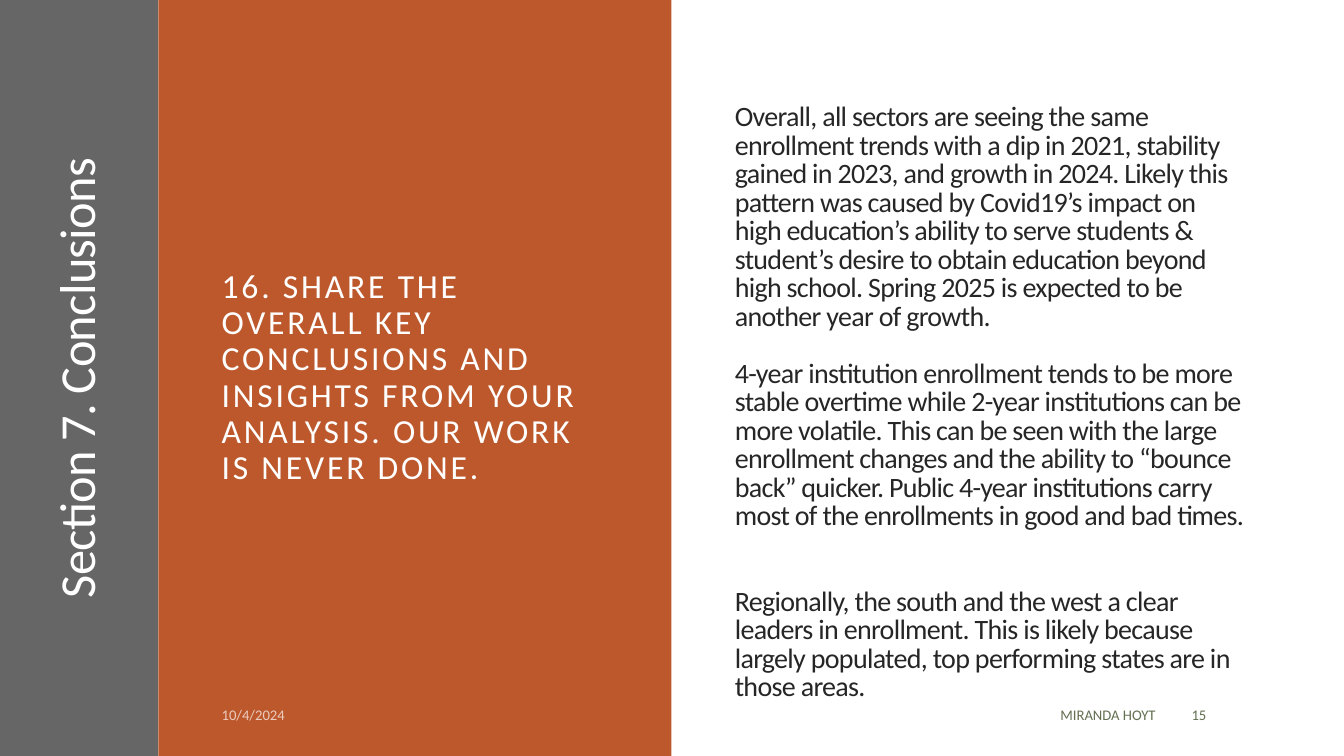
import pptx
import pptx.util
import pptx.dml.color
import pptx.enum.shapes
import pptx.enum.text
import pptx.oxml.ns
import lxml.etree

Inches = pptx.util.Inches
Pt = pptx.util.Pt
RGB = pptx.dml.color.RGBColor
ALIGN = pptx.enum.text.PP_ALIGN

WHITE = RGB(0xFF, 0xFF, 0xFF)
INK = RGB(0x26, 0x26, 0x26)
GRAY = RGB(0x40, 0x40, 0x40)
RUST = RGB(0xBD, 0x58, 0x2C)
OLIVE = RGB(0x63, 0x70, 0x52)

PANELS = [
    ((0, 0, 13.33, 7.5), WHITE, 100),
    ((0, 0, 1.57, 7.5), GRAY, 80),
    ((1.57, 0, 5.09, 7.5), RUST, 100),
]
FINDINGS = [
    "Overall, all sectors are seeing the same enrollment trends with a dip in 2021, "
    "stability gained in 2023, and growth in 2024. Likely this pattern was caused by "
    "Covid19’s impact on high education’s ability to serve students & student’s desire "
    "to obtain education beyond high school. Spring 2025 is expected to be another year "
    "of growth.",
    "4-year institution enrollment tends to be more stable overtime while 2-year "
    "institutions can be more volatile. This can be seen with the large enrollment "
    "changes and the ability to “bounce back” quicker. Public 4-year institutions carry "
    "most of the enrollments in good and bad times.",
    "Regionally, the south and the west a clear leaders in enrollment. This is likely "
    "because largely populated, top performing states are in those areas.",
]
GAPS = [0, 20, 40.5]
PROMPT = ("16. SHARE THE OVERALL KEY CONCLUSIONS AND INSIGHTS FROM YOUR ANALYSIS. "
          "OUR WORK IS NEVER DONE.")
SECTION = "Section 7. Conclusions"
FOOTER = [
    ("10/4/2024", (2.1, 6.91, 2.75, 0.35), WHITE, 70, ALIGN.LEFT),
    ("MIRANDA HOYT", (7.09, 6.91, 4.47, 0.35), OLIVE, 100, ALIGN.RIGHT),
    ("15", (11.72, 6.89, 0.69, 0.4), OLIVE, 100, ALIGN.LEFT),
]


def paint(fill, color, alpha=100):
    fill.solid()
    fill.fore_color.rgb = color
    if alpha < 100:
        tag = fill._xPr.find(".//" + pptx.oxml.ns.qn("a:srgbClr"))
        node = lxml.etree.SubElement(tag, pptx.oxml.ns.qn("a:alpha"))
        node.set("val", str(alpha * 1000))


def add_panel(slide, box, color, alpha):
    kind = pptx.enum.shapes.MSO_SHAPE.RECTANGLE
    panel = slide.shapes.add_shape(kind, *map(Inches, box))
    panel.shadow.inherit = False
    panel.line.fill.background()
    paint(panel.fill, color, alpha)


def add_text(slide, lines, box, size, color, alpha=100, align=ALIGN.LEFT,
             lead=1.0, track=0, gaps=(0,), after=0):
    shape = slide.shapes.add_textbox(*map(Inches, box))
    frame = shape.text_frame
    frame.word_wrap = True
    frame.vertical_anchor = pptx.enum.text.MSO_ANCHOR.MIDDLE
    frame.text = "\n".join(lines)
    for para, gap in zip(frame.paragraphs, gaps):
        para.alignment = align
        para.line_spacing = lead
        para.space_before = Pt(gap)
        para.space_after = Pt(after)
        for run in para.runs:
            run.font.name = "Calibri"
            run.font.size = Pt(size)
            paint(run.font.fill, color, alpha)
            run.font._element.set("spc", str(int(track * 100)))
    return shape


def main():
    deck = pptx.Presentation()
    deck.slide_width = Inches(13.33)
    deck.slide_height = Inches(7.5)
    slide = deck.slides.add_slide(deck.slide_layouts[6])
    paint(slide.background.fill, WHITE)

    for box, color, alpha in PANELS:
        add_panel(slide, box, color, alpha)
    add_text(slide, FINDINGS, (7.19, 1.08, 5.26, 5.84), 20, INK,
             lead=0.85, track=-0.5, gaps=GAPS)
    add_text(slide, [PROMPT], (2.1, 1.08, 4.05, 5.34), 24, WHITE,
             lead=0.9, track=2, gaps=(12,), after=2)
    for text, box, color, alpha, align in FOOTER:
        add_text(slide, [text], box, 10.5, color, alpha, align, after=6)
    title = add_text(slide, [SECTION], (-2.96, 2.81, 7.5, 1.88), 36, WHITE,
                     align=ALIGN.CENTER, lead=0.85, track=-0.5)
    title.rotation = 270

    deck.save("out.pptx")


if __name__ == "__main__":
    main()
